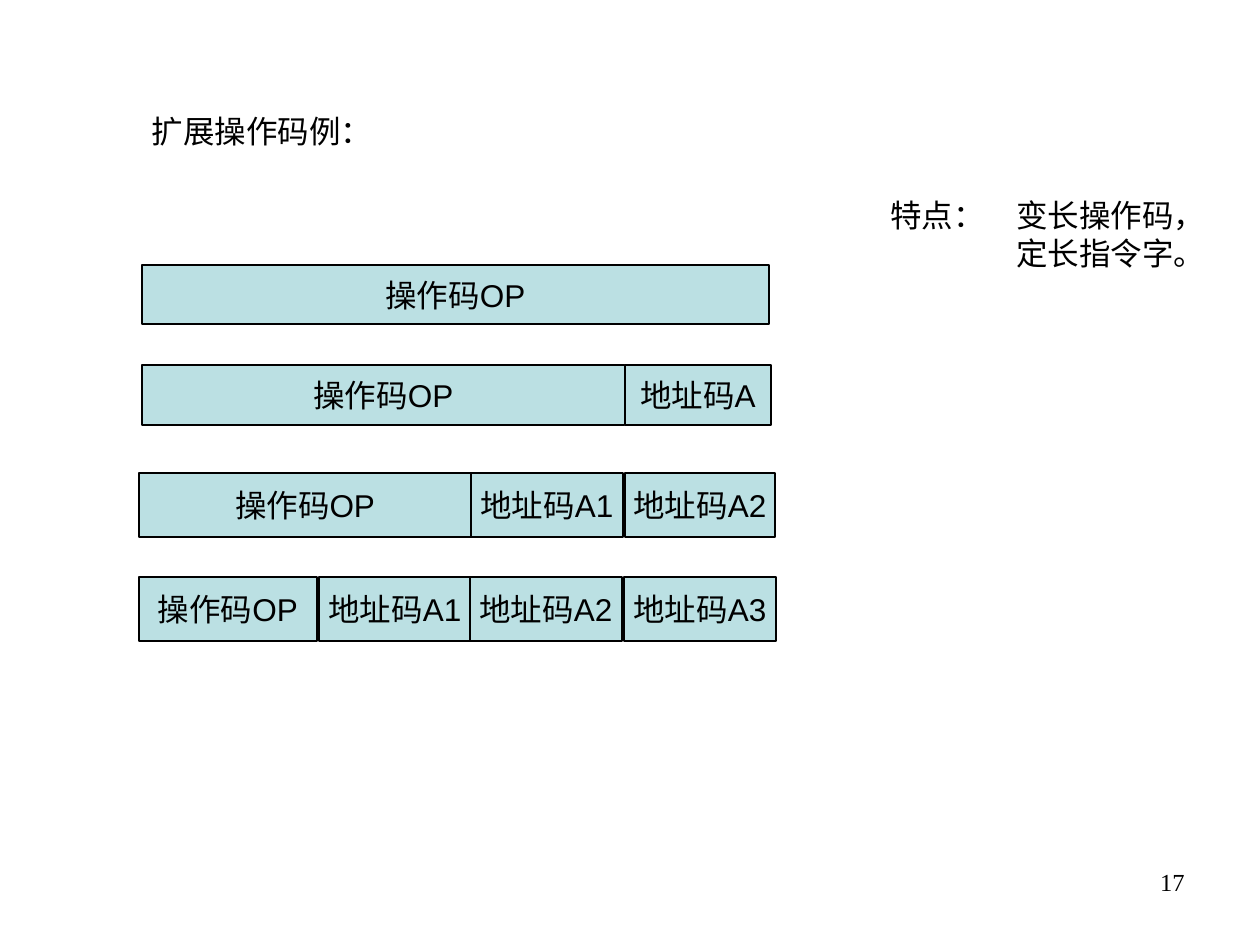
from lxml import etree
from pptx import Presentation
from pptx.dml.color import RGBColor
from pptx.enum.shapes import MSO_SHAPE
from pptx.enum.text import MSO_ANCHOR, MSO_AUTO_SIZE, PP_ALIGN
from pptx.oxml.ns import qn
from pptx.util import Emu, Pt

SCALE = 914400 // 126
RECTANGLE = MSO_SHAPE.RECTANGLE
TOP, MIDDLE = MSO_ANCHOR.TOP, MSO_ANCHOR.MIDDLE
FIT_SHAPE, NO_FIT = MSO_AUTO_SIZE.SHAPE_TO_FIT_TEXT, MSO_AUTO_SIZE.NONE
LEFT, CENTER, RIGHT = PP_ALIGN.LEFT, PP_ALIGN.CENTER, PP_ALIGN.RIGHT
BLACK, PALE_BLUE = "000000", "BBE0E3"
BODY_FONT = {"name": "Arial", "size": Pt(18)}
NUMBER_FONT = {"name": "Times New Roman", "size": Pt(14)}

INSTRUCTION_FORMATS = [
    (265, 59, [("操作码OP", 142, 627)]),
    (365, 60, [("操作码OP", 142, 483), ("地址码A", 625, 146)]),
    (473, 64, [("操作码OP", 139, 332), ("地址码A1", 471, 152),
               ("地址码A2", 625, 150)]),
    (577, 64, [("操作码OP", 139, 178), ("地址码A1", 319, 152),
               ("地址码A2", 470, 152), ("地址码A3", 624, 152)]),
]


def px(length):
    return Emu(length * SCALE)


def color(value):
    return RGBColor.from_string(value)


def set_values(target, values):
    for name, value in values.items():
        setattr(target, name, value)


def add_tab_stop(paragraph, position):
    tabs = etree.SubElement(paragraph._p.get_or_add_pPr(), qn("a:tabLst"))
    etree.SubElement(tabs, qn("a:tab"), pos=str(px(position)), algn="l")


def write_text(shape, text, font, alignment, frame_values, tab=None):
    frame = shape.text_frame
    frame.text = text
    set_values(frame, frame_values)
    paragraph = frame.paragraphs[0]
    paragraph.alignment = alignment
    if tab:
        add_tab_stop(paragraph, tab)
    for run in paragraph.runs:
        set_values(run.font, font)
        run.font.color.rgb = color(BLACK)


def add_title(slide, text, left, top, width, height):
    title = slide.shapes.title
    set_values(title, {"left": px(left), "top": px(top),
                       "width": px(width), "height": px(height)})
    write_text(title, text, BODY_FONT, LEFT,
               {"vertical_anchor": TOP, "word_wrap": False, "auto_size": FIT_SHAPE})


def add_text(slide, text, left, top, width, height, font, alignment, fit, tab=None):
    box = slide.shapes.add_textbox(px(left), px(top), px(width), px(height))
    write_text(box, text, font, alignment,
               {"vertical_anchor": TOP, "word_wrap": True, "auto_size": fit}, tab)


def add_field(slide, text, left, top, width, height):
    field = slide.shapes.add_shape(RECTANGLE, px(left), px(top), px(width), px(height))
    field.shadow.inherit = False
    field.fill.solid()
    field.fill.fore_color.rgb = color(PALE_BLUE)
    field.line.color.rgb = color(BLACK)
    field.line.width = Pt(0.75)
    write_text(field, text, BODY_FONT, CENTER,
               {"vertical_anchor": MIDDLE, "word_wrap": False})


def add_instruction(slide, top, height, fields):
    for text, left, width in fields:
        add_field(slide, text, left, top, width, height)


def main():
    presentation = Presentation()
    set_values(presentation, {"slide_width": px(1260), "slide_height": px(945)})
    slide = presentation.slides.add_slide(presentation.slide_layouts[5])
    add_title(slide, "扩展操作码例：", 139, 106, 246, 50)
    for top, height, fields in INSTRUCTION_FORMATS:
        add_instruction(slide, top, height, fields)
    add_text(slide, "特点：\t变长操作码，\v\t定长指令字。", 878, 190, 352, 88,
             BODY_FONT, LEFT, FIT_SHAPE, tab=126)
    add_text(slide, "17", 903, 861, 294, 66, NUMBER_FONT, RIGHT, NO_FIT)
    presentation.save("out.pptx")


if __name__ == "__main__":
    main()
